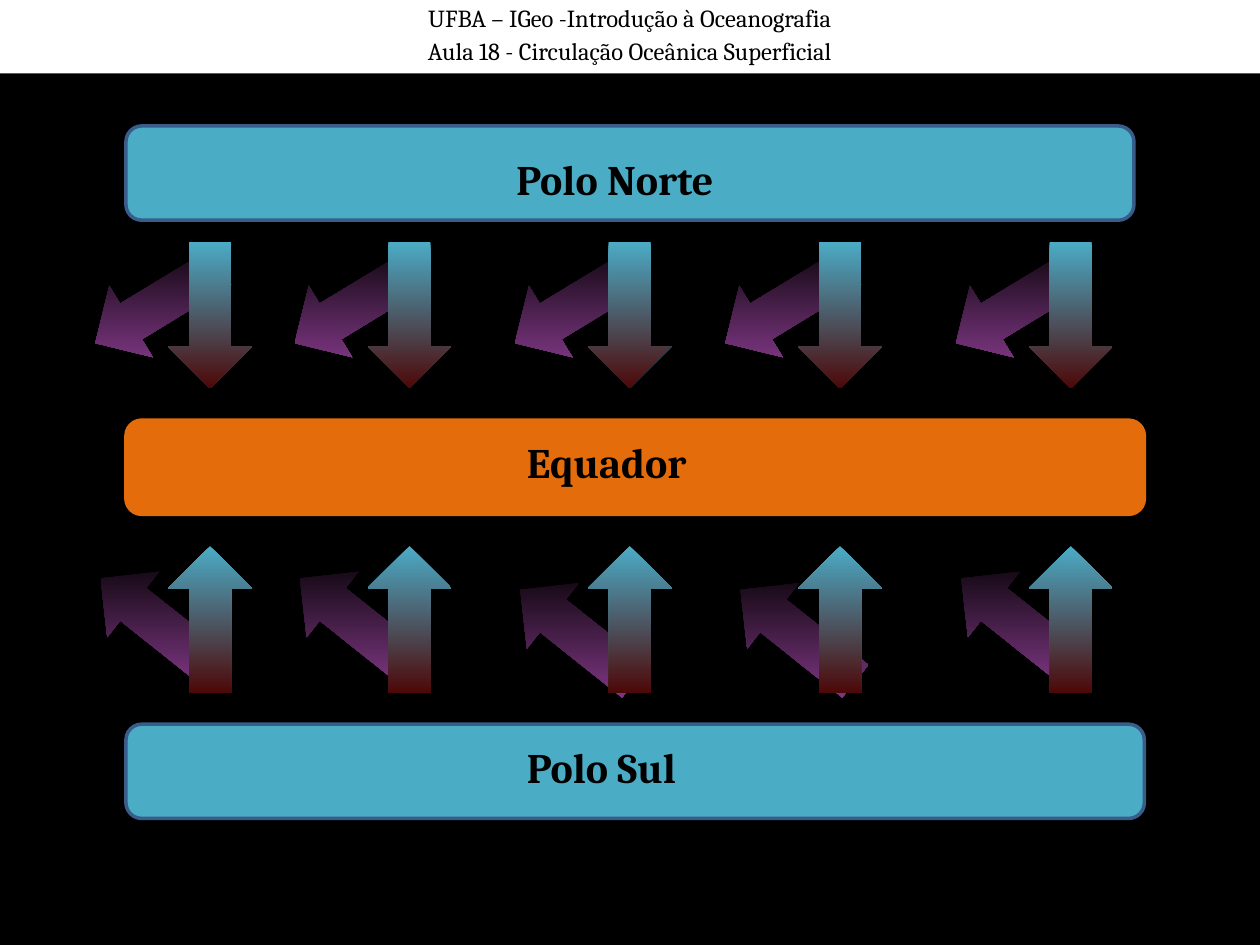
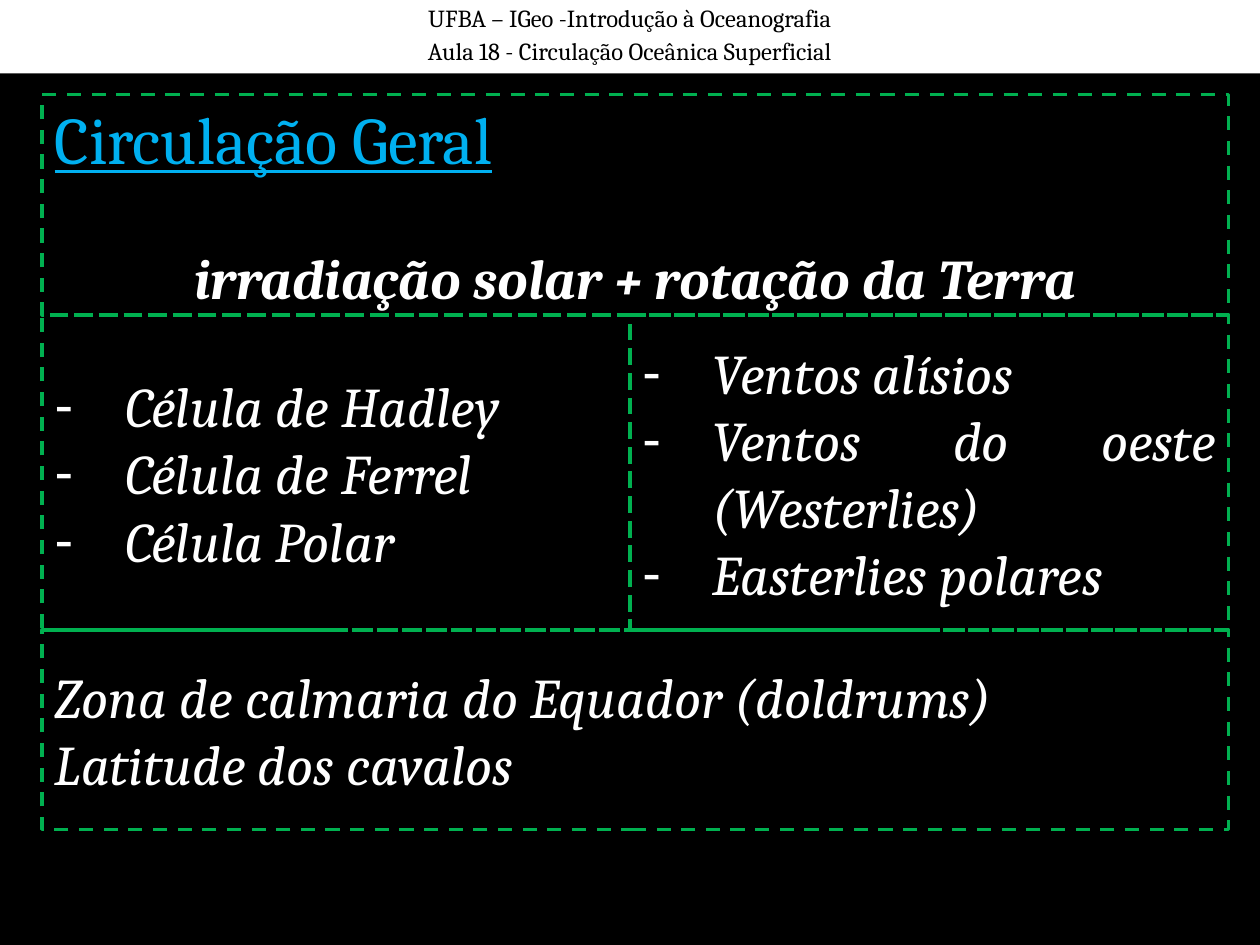
from pptx import Presentation
from pptx.dml.color import RGBColor
from pptx.enum.dml import MSO_LINE
from pptx.enum.shapes import MSO_SHAPE
from pptx.enum.text import MSO_ANCHOR, MSO_AUTO_SIZE, PP_ALIGN
from pptx.oxml import parse_xml
from pptx.oxml.ns import nsdecls, qn
from pptx.util import Cm, Pt

BLACK, WHITE = "000000", "FFFFFF"
POLE, POLE_EDGE, EQUATOR = "4BACC6", "385D8A", "E46C0A"
WARM, DEFLECTED = "4D0808", "8C3D91"
FRAME, HEADING = "00B050", "00B0F0"

TWO_CONTENT, BLANK = 3, 6
HEADER = ["UFBA – IGeo -Introdução à Oceanografia",
          "Aula 18 - Circulação Oceânica Superficial"]


def color(hex_string):
    return RGBColor.from_string(hex_string)


def box(left, top, width, height):
    return Cm(left), Cm(top), Cm(width), Cm(height)


class Deck:
    font = "Cambria"

    def __init__(self):
        self.presentation = Presentation()
        self.presentation.slide_width = Cm(25.4)
        self.presentation.slide_height = Cm(19.05)
        self.slide = None

    def new_slide(self, layout):
        layouts = self.presentation.slide_layouts
        self.slide = self.presentation.slides.add_slide(layouts[layout])
        background = self.slide.background.fill
        background.solid()
        background.fore_color.rgb = color(BLACK)
        band = self.shape(MSO_SHAPE.RECTANGLE, box(0, 0, 25.4, 1.48), WHITE)
        self.set_text(band, HEADER, 14, BLACK, PP_ALIGN.CENTER, MSO_ANCHOR.TOP)
        for line in band.text_frame.paragraphs:
            line.line_spacing = 0.9
        line.space_before = Pt(3.5)

    def shape(self, kind, place, fill=None, edge=None):
        shape = self.slide.shapes.add_shape(kind, *place)
        shape.shadow.inherit = False
        if fill:
            shape.fill.solid()
            shape.fill.fore_color.rgb = color(fill)
        else:
            shape.fill.background()
        if edge:
            self.outline(shape, edge)
        else:
            shape.line.fill.background()
        return shape

    def outline(self, shape, edge, dash=None):
        shape.line.color.rgb = color(edge)
        shape.line.width = Pt(2)
        shape.line.dash_style = dash

    def set_text(self, shape, lines, size, ink, align=PP_ALIGN.LEFT,
                 anchor=MSO_ANCHOR.MIDDLE, bold=False, italic=False, underline=False):
        frame = shape.text_frame
        frame.text = "\n".join(lines)
        frame.word_wrap = True
        frame.auto_size = MSO_AUTO_SIZE.NONE
        frame.vertical_anchor = anchor
        frame.margin_left = frame.margin_right = Cm(0.25)
        frame.margin_top = frame.margin_bottom = Cm(0.13)
        for paragraph in frame.paragraphs:
            paragraph.alignment = align
            paragraph.space_before = Pt(0)
            for run in paragraph.runs:
                font = run.font
                font.name, font.size = self.font, Pt(size)
                font.color.rgb = color(ink)
                font.bold, font.italic, font.underline = bold, italic, underline

    def arrow(self, left, top, rotation, start, end):
        """Add a wind arrow whose gradient stays vertical when it is turned."""
        arrow = self.shape(MSO_SHAPE.DOWN_ARROW, box(left, top, 1.69, 2.96))
        arrow.rotation = rotation
        arrow.fill.gradient()
        arrow.fill.gradient_angle = 270
        for stop, shade in zip(arrow.fill.gradient_stops, (start, end)):
            stop.color.rgb = color(shade)
        gradient = arrow._element.spPr.find(qn("a:gradFill"))
        gradient.set("rotWithShape", "0")

    def zone(self, place, fill, edge):
        self.shape(MSO_SHAPE.ROUNDED_RECTANGLE, place, fill, edge)

    def label(self, text, left, top):
        label = self.slide.shapes.add_textbox(*box(left, top, 5.08, 1.27))
        self.set_text(label, [text], 24, BLACK, anchor=MSO_ANCHOR.TOP, bold=True)

    def title(self, text, place):
        title = self.slide.shapes.title
        title.left, title.top, title.width, title.height = place
        self.set_text(title, [text], 38, HEADING, underline=True)

    def framed_text(self, lines, place, **style):
        cell = self.shape(MSO_SHAPE.RECTANGLE, place)
        self.outline(cell, FRAME, MSO_LINE.DASH)
        self.set_text(cell, lines, 32, WHITE, italic=True, **style)
        return cell

    def framed_list(self, index, items, place):
        body = self.slide.placeholders[index]
        body.left, body.top, body.width, body.height = place
        self.outline(body, FRAME, MSO_LINE.DASH)
        self.set_text(body, items, 32, WHITE, PP_ALIGN.JUSTIFY, italic=True)
        for paragraph in body.text_frame.paragraphs:
            properties = paragraph._p.get_or_add_pPr()
            properties.set("marL", str(Cm(1.42)))
            properties.set("indent", str(-Cm(1.42)))
            properties.append(parse_xml(
                f'<a:buClr {nsdecls("a")}><a:srgbClr val="{WHITE}"/></a:buClr>'))
            properties.append(parse_xml(f'<a:buChar {nsdecls("a")} char="-"/>'))


def wind_deflection(deck):
    deck.new_slide(BLANK)
    wind_lefts = [3.39, 7.41, 11.85, 16.09, 20.74]
    south_shifts = [(0, 0), (0, 0), (0, 0.23), (0.2, 0.23), (0, 0)]

    for left, (shift_x, shift_y) in zip(wind_lefts, south_shifts):
        deck.arrow(left - 1.05 + shift_x, 11.1 + shift_y, 128.5, BLACK, DEFLECTED)
        deck.arrow(left - 1.05, 4.67, 58.7, BLACK, DEFLECTED)

    deck.zone(box(2.54, 2.54, 20.32, 1.9), POLE, POLE_EDGE)
    deck.zone(box(2.54, 14.6, 20.53, 1.9), POLE, POLE_EDGE)
    deck.zone(box(2.54, 8.47, 20.53, 1.9), EQUATOR, EQUATOR)

    for left in wind_lefts:
        deck.arrow(left, 4.87, 0, POLE, WARM)
        deck.arrow(left, 11.01, 180, POLE, WARM)

    deck.label("Polo Norte", 10.16, 2.96)
    deck.label("Equador", 10.37, 8.68)
    deck.label("Polo Sul", 10.37, 14.82)


def general_circulation(deck):
    deck.new_slide(TWO_CONTENT)
    left, middle, right = 0.85, 12.7, 24.77
    top, cells_top, calms_top, bottom = 1.91, 6.35, 12.7, 16.72
    width, cells_height = right - left, calms_top - cells_top

    deck.title("Circulação Geral", box(left, top, width, 1.75))
    causes = deck.framed_text(["irradiação solar + rotação da Terra"],
                              box(left, top, width, cells_top - top),
                              align=PP_ALIGN.CENTER, anchor=MSO_ANCHOR.BOTTOM, bold=True)
    causes.text_frame.margin_bottom = Cm(0.08)
    deck.framed_list(1, ["Célula de Hadley", "Célula de Ferrel", "Célula Polar"],
                     box(left, cells_top, middle - left, cells_height))
    deck.framed_list(2, ["Ventos alísios", "Ventos do oeste (Westerlies)",
                         "Easterlies polares"],
                     box(middle, cells_top, right - middle, cells_height))
    deck.framed_text(["Zona de calmaria do Equador (doldrums)", "Latitude dos cavalos"],
                     box(left, calms_top, width, bottom - calms_top),
                     align=PP_ALIGN.JUSTIFY)


def main():
    deck = Deck()
    wind_deflection(deck)
    general_circulation(deck)
    deck.presentation.save("out.pptx")


if __name__ == "__main__":
    main()
